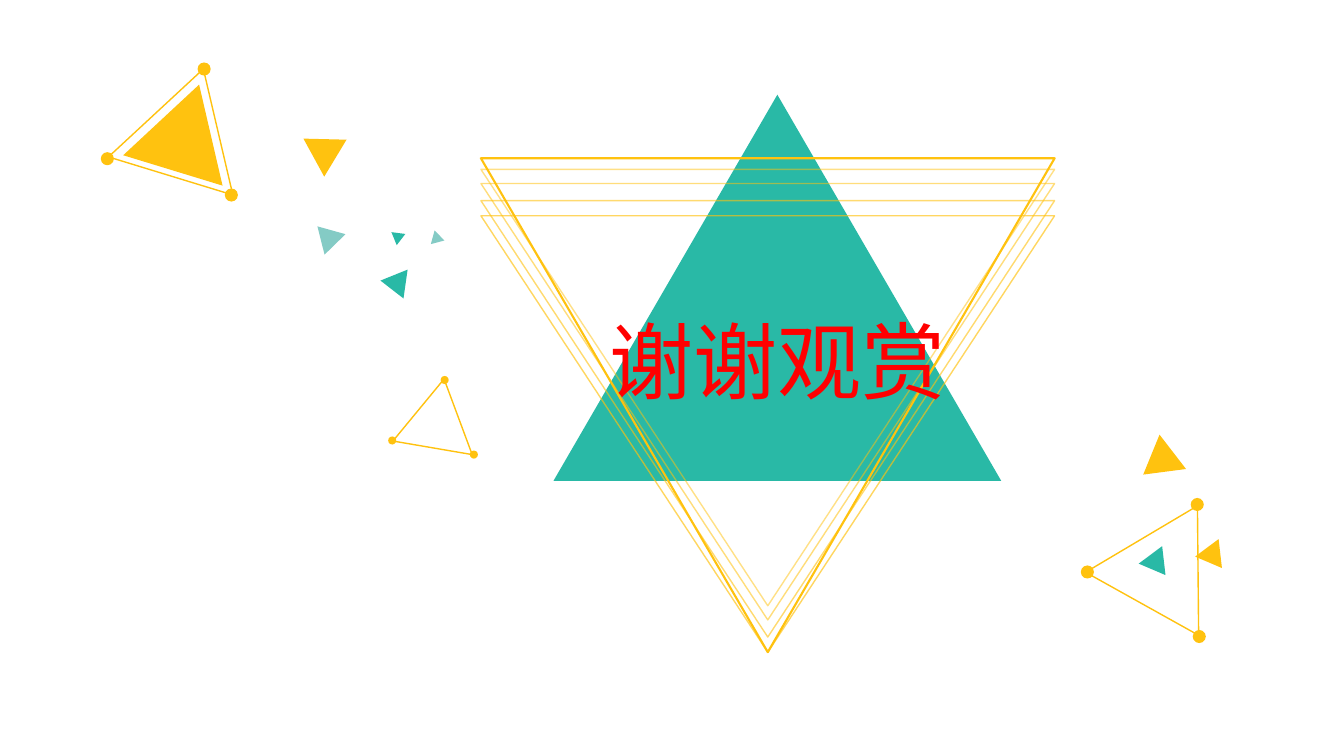
from lxml.etree import SubElement
from pptx import Presentation
from pptx.dml.color import RGBColor
from pptx.enum.shapes import MSO_SHAPE
from pptx.enum.text import MSO_ANCHOR, MSO_AUTO_SIZE, PP_ALIGN
from pptx.oxml.ns import qn
from pptx.util import Inches, Pt

THEME = {
    "teal": RGBColor(0x29, 0xB9, 0xA6),
    "pale": RGBColor(0x84, 0xCB, 0xC5),
    "yellow": RGBColor(0xFF, 0xC2, 0x0F),
    "red": RGBColor(0xFF, 0x00, 0x00),
    "font": "Noto Sans CJK SC",
    "title": Pt(60),
}

prs = Presentation()
prs.slide_width, prs.slide_height = Inches(13.33), Inches(7.5)
s = prs.slides.add_slide(prs.slide_layouts[6])


def add_solid(kind, x, y, w, h, color, rot=0):
    sp = s.shapes.add_shape(kind, Inches(x), Inches(y), Inches(w), Inches(h))
    sp.shadow.inherit = False
    sp.rotation = rot
    sp.fill.solid()
    sp.fill.fore_color.rgb = THEME[color]
    sp.line.fill.background()


def add_outline(x, y, w, h, rot, width=1, opacity=100):
    sp = s.shapes.add_shape(MSO_SHAPE.ISOSCELES_TRIANGLE, Inches(x), Inches(y), Inches(w), Inches(h))
    sp.shadow.inherit = False
    sp.rotation = rot
    sp.fill.background()
    sp.line.color.rgb = THEME["yellow"]
    sp.line.width = Pt(width)
    if opacity < 100:
        clr = sp.line._ln.find(".//" + qn("a:srgbClr"))
        SubElement(clr, qn("a:alpha"), val=str(opacity * 1000))


TINY, SMALL, MEDIUM = (0.14, 0.12), (0.29, 0.25), (0.43, 0.37)
solid_triangles = [
    (5.49, 0.94, (4.44, 3.83), "teal", 0),
    (11.27, 4.41, MEDIUM, "yellow", 232.4),
    (11.34, 5.48, SMALL, "teal", 143.3),
    (11.9, 5.41, SMALL, "yellow", 143.3),
    (3.09, 2.21, SMALL, "pale", 315.7),
    (3.06, 1.29, MEDIUM, "yellow", 61.3),
    (3.81, 2.72, SMALL, "teal", 158),
    (1.33, 0.82, (1.03, 0.89), "yellow", 17),
    (4.28, 2.31, TINY, "pale", 105.3),
    (3.86, 2.28, TINY, "teal", 307.6),
]
for x, y, (w, h), color, rot in solid_triangles:
    add_solid(MSO_SHAPE.ISOSCELES_TRIANGLE, x, y, w, h, color, rot)

dotted_frames = [
    ((10.96, 5.27, 1.29, 1.11, 149.3), 0.13, [(11.81, 4.94), (11.83, 6.25), (10.72, 5.61)]),
    ((3.82, 3.91, 0.8, 0.69, 249.6), 0.08, [(4.66, 4.47), (3.85, 4.33), (4.37, 3.73)]),
    ((1.21, 0.66, 1.29, 1.11, 17), 0.13, [(1, 1.51), (1.96, 0.62), (2.23, 1.87)]),
]
for frame, dot, corners in dotted_frames:
    add_outline(*frame)
    for x, y in corners:
        add_solid(MSO_SHAPE.OVAL, x, y, dot, dot, "yellow")

add_outline(4.77, 1.57, 5.69, 4.9, 180, 1.5)
for i, top in enumerate([2.14, 1.99, 1.82, 1.68]):
    add_outline(4.77, top, 5.69, 4.33, 180, opacity=65 - 5 * i)

tb = s.shapes.add_textbox(Inches(5.53), Inches(3.02), Inches(4.37), Inches(1.11))
tf = tb.text_frame
tf.word_wrap = True
tf.auto_size = MSO_AUTO_SIZE.SHAPE_TO_FIT_TEXT
tf.vertical_anchor = MSO_ANCHOR.TOP
p = tf.paragraphs[0]
p.alignment = PP_ALIGN.CENTER
r = p.add_run()
r.text = "谢谢观赏"
r.font.size = THEME["title"]
r.font.color.rgb = THEME["red"]
r.font.name = THEME["font"]
SubElement(r.font._element, qn("a:ea"), typeface=THEME["font"])

prs.save("out.pptx")
